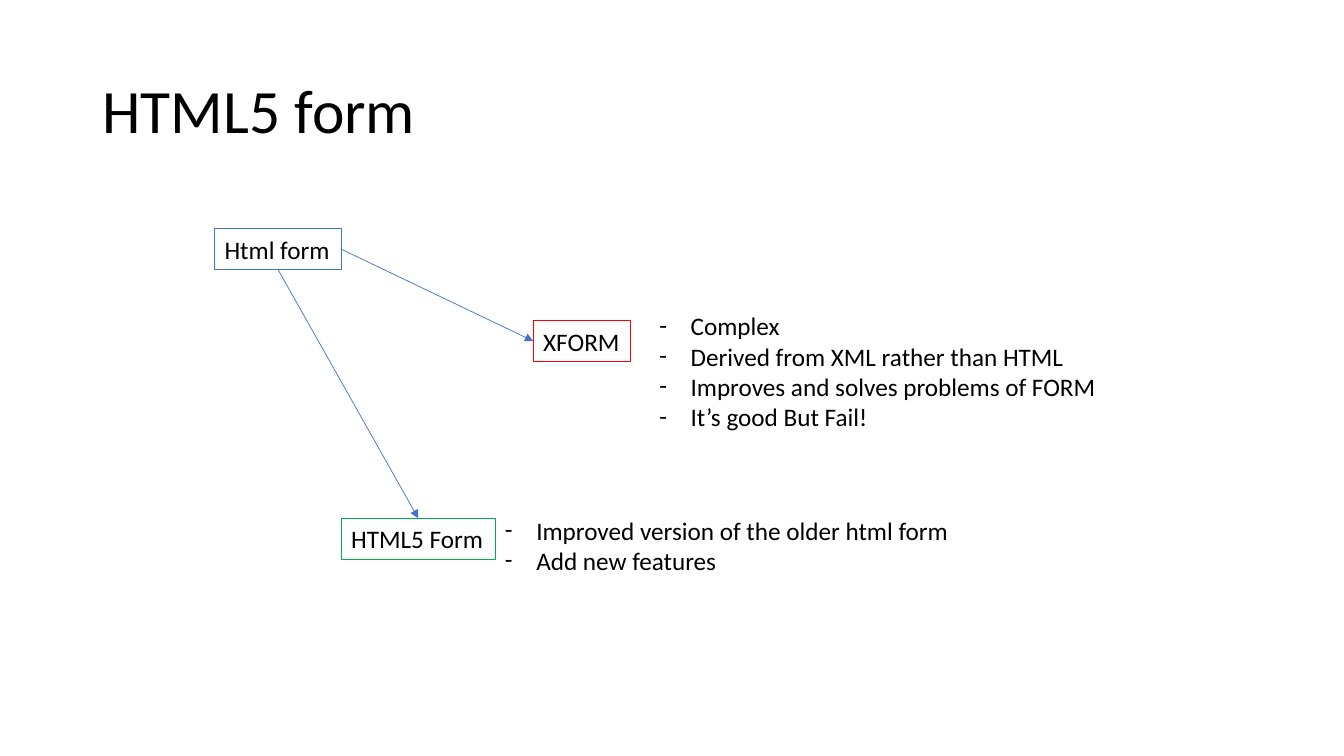
from lxml.etree import SubElement
from pptx import Presentation
from pptx.dml.color import RGBColor
from pptx.enum.shapes import MSO_CONNECTOR as Connector, MSO_SHAPE as Shape
from pptx.enum.text import MSO_ANCHOR as Anchor, MSO_AUTO_SIZE as AutoSize, PP_ALIGN as Align
from pptx.oxml.ns import qn
from pptx.util import Cm, Pt

BLUE, RED, GREEN, BLACK = "4472C4", "FF0000", "00B050", "000000"
TOP, LEFT, BOTTOM, RIGHT = range(4)


def color(hex_code):
    return RGBColor.from_string(hex_code)


class FormSlide:
    font = "Calibri"
    text_size = 18
    title_size = 44
    node_height = 1.03
    indent = Cm(0.79)

    def __init__(self, slide):
        self.slide = slide

    def place(self, holder, left, top, width, height):
        holder.left, holder.top = Cm(left), Cm(top)
        holder.width, holder.height = Cm(width), Cm(height)

    def set_text(self, frame, lines, size, anchor, wrap=False):
        frame.text = "\n".join(lines)
        frame.word_wrap = wrap
        frame.auto_size = AutoSize.NONE
        frame.vertical_anchor = anchor
        for paragraph in frame.paragraphs:
            paragraph.alignment = Align.LEFT
            paragraph.space_before = Pt(0)
            for run in paragraph.runs:
                run.font.name = self.font
                run.font.size = Pt(size)
                run.font.color.rgb = color(BLACK)

    def title(self, text, *box):
        heading = self.slide.shapes.title
        self.place(heading, *box)
        self.set_text(heading.text_frame, [text], self.title_size, Anchor.MIDDLE, wrap=True)
        heading.text_frame.paragraphs[0].line_spacing = 0.9

    def node(self, text, outline, left, top, width):
        box = self.slide.shapes.add_shape(
            Shape.RECTANGLE, Cm(left), Cm(top), Cm(width), Cm(self.node_height))
        box.shadow.inherit = False
        box.fill.background()
        box.line.color.rgb = color(outline)
        box.line.width = Pt(0.75)
        self.set_text(box.text_frame, [text], self.text_size, Anchor.MIDDLE)
        return box

    def arrow(self, source, source_side, target, target_side):
        link = self.slide.shapes.add_connector(Connector.STRAIGHT, 0, 0, 0, 0)
        link.begin_connect(source, source_side)
        link.end_connect(target, target_side)
        link.line.color.rgb = color(BLUE)
        link.line.width = Pt(0.5)
        properties = link._element.spPr
        SubElement(properties.find(qn("a:ln")), qn("a:tailEnd"), type="triangle")
        SubElement(properties, qn("a:effectLst"))

    def dash_list(self, index, lines, *box):
        body = self.slide.placeholders[index]
        self.place(body, *box)
        self.set_text(body.text_frame, lines, self.text_size, Anchor.TOP)
        for paragraph in body.text_frame.paragraphs:
            properties = paragraph._p.get_or_add_pPr()
            properties.set("marL", str(self.indent))
            properties.set("indent", str(-self.indent))
            SubElement(properties, qn("a:buFont"), typeface=self.font)
            SubElement(properties, qn("a:buChar"), char="-")


deck = Presentation()
deck.slide_width, deck.slide_height = Cm(33.87), Cm(19.05)
page = FormSlide(deck.slides.add_slide(deck.slide_layouts[3]))

page.title("HTML5 form", 2.33, 1.01, 29.21, 3.68)

html_form = page.node("Html form", BLUE, 5.41, 5.77, 3.2)
xform = page.node("XFORM", RED, 13.44, 8.08, 2.46)
html5_form = page.node("HTML5 Form", GREEN, 8.6, 13.06, 3.88)

page.arrow(html_form, RIGHT, xform, LEFT)
page.arrow(html_form, BOTTOM, html5_form, TOP)

page.dash_list(1, [
    "Complex",
    "Derived from XML rather than HTML",
    "Improves and solves problems of FORM",
    "It’s good But Fail!",
], 16.36, 7.7, 11.79, 3.33)
page.dash_list(2, [
    "Improved version of the older html form",
    "Add new features",
], 12.47, 12.85, 11.81, 1.8)

deck.save("out.pptx")
